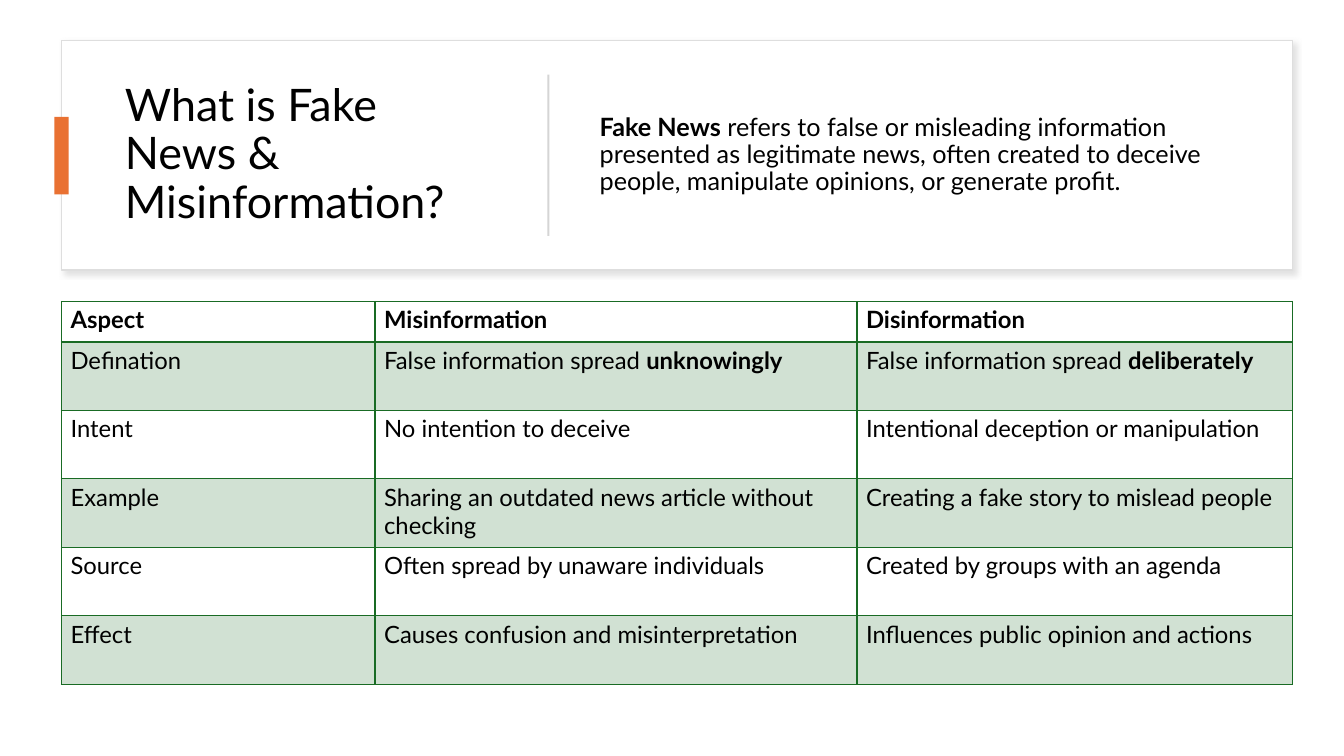
from dataclasses import dataclass

from lxml.etree import SubElement
from pptx import Presentation
from pptx.dml.color import RGBColor
from pptx.enum.shapes import MSO_SHAPE
from pptx.enum.text import MSO_ANCHOR
from pptx.oxml import parse_xml
from pptx.oxml.ns import nsdecls, qn
from pptx.shapes.autoshape import Shape
from pptx.table import _Cell
from pptx.text.text import TextFrame
from pptx.util import Emu, Pt

PX = 9144  # 100 px to the inch
FONT = "Lato"
BLACK = RGBColor(0x00, 0x00, 0x00)
WHITE = RGBColor(0xFF, 0xFF, 0xFF)
CARD_EDGE = RGBColor(0xDE, 0xDE, 0xDE)
CARD_SHADOW = RGBColor(0xC5, 0xC5, 0xC5)
DIVIDER_GREY = RGBColor(0xD5, 0xD5, 0xD5)
ORANGE = RGBColor(0xE9, 0x71, 0x32)
GREEN = RGBColor(0x19, 0x6B, 0x24)


@dataclass(frozen=True)
class Box:
    left: int
    top: int
    width: int
    height: int

    def emu(self) -> tuple[Emu, ...]:
        return tuple(px(n) for n in (self.left, self.top, self.width, self.height))


@dataclass(frozen=True)
class Panel:
    box: Box
    fill: RGBColor
    edge: RGBColor | None = None


@dataclass(frozen=True)
class Passage:
    box: Box
    text: str
    size: int


CARD = Panel(Box(61, 40, 1221, 228), WHITE, CARD_EDGE)
ACCENT = Panel(Box(54, 116, 14, 77), ORANGE)
DIVIDER = Panel(Box(543, 74, 2, 160), DIVIDER_GREY)

PASSAGES = [
    Passage(Box(114, 64, 389, 180), "What is Fake News & Misinformation?", 32),
    Passage(
        Box(585, 64, 656, 180),
        "**Fake News** refers to false or misleading information presented as "
        "legitimate news, often created to deceive people, manipulate opinions, "
        "or generate profit.",
        18,
    ),
]

TABLE_BOX = Box(61, 299, 1221, 381)
COLUMN_WIDTHS = [311, 478, 432]
HEADER_HEIGHT, ROW_HEIGHT = 40, 68
COMPARISON = [
    ("**Aspect**", "**Misinformation**", "**Disinformation**"),
    ("Defination", "False information spread **unknowingly**",
     "False information spread **deliberately**"),
    ("Intent", "No intention to deceive", "Intentional deception or manipulation"),
    ("Example", "Sharing an outdated news article without checking",
     "Creating a fake story to mislead people"),
    ("Source", "Often spread by unaware individuals", "Created by groups with an agenda"),
    ("Effect", "Causes confusion and misinterpretation",
     "Influences public opinion and actions"),
]


def px(length: int) -> Emu:
    return Emu(length * PX)


def write(frame: TextFrame, text: str, *, size: int, spacing: float = 1.0) -> None:
    """Fill a frame with text; parts between ** marks are bold."""
    frame.word_wrap = True
    paragraph = frame.paragraphs[0]
    paragraph.line_spacing = spacing
    for i, part in enumerate(text.split("**")):
        if part:
            run = paragraph.add_run()
            run.text = part
            run.font.name = FONT
            run.font.size = Pt(size)
            run.font.bold = i % 2 == 1
            run.font.color.rgb = BLACK


def draw_panel(shapes, panel: Panel) -> Shape:
    shape = shapes.add_shape(MSO_SHAPE.RECTANGLE, *panel.box.emu())
    shape.shadow.inherit = False
    shape.fill.solid()
    shape.fill.fore_color.rgb = panel.fill
    if panel.edge is None:
        shape.line.fill.background()
    else:
        shape.line.color.rgb = panel.edge
        shape.line.width = Pt(1)
    return shape


def cast_shadow(shape: Shape) -> None:
    effects = shape.element.spPr.find(qn("a:effectLst"))
    effects.append(parse_xml(
        f'<a:outerShdw {nsdecls("a")} blurRad="{Pt(4)}" dist="{Pt(3)}" dir="2700000">'
        f'<a:srgbClr val="{CARD_SHADOW}"><a:alpha val="50000"/></a:srgbClr>'
        "</a:outerShdw>"
    ))


def draw_passage(shapes, passage: Passage) -> None:
    frame = shapes.add_textbox(*passage.box.emu()).text_frame
    frame.vertical_anchor = MSO_ANCHOR.MIDDLE
    write(frame, passage.text, size=passage.size, spacing=0.9)


def style_cell(cell: _Cell, row: int) -> None:
    cell.margin_left = cell.margin_right = px(9)
    cell.margin_top = cell.margin_bottom = px(4)
    properties = cell._tc.get_or_add_tcPr()

    # Odd rows carry a light tint
    if row % 2:
        cell.fill.solid()
        cell.fill.fore_color.rgb = GREEN
        tint = properties.find(f"{qn('a:solidFill')}/{qn('a:srgbClr')}")
        SubElement(tint, qn("a:alpha"), val="20000")
    else:
        cell.fill.background()

    # Borders come before the fill; the rule under the header is heavier
    for i, side in enumerate("LRTB"):
        under_header = (row, side) in ((0, "B"), (1, "T"))
        properties.insert(i, parse_xml(
            f'<a:ln{side} {nsdecls("a")} w="{Pt(2 if under_header else 1)}">'
            f'<a:solidFill><a:srgbClr val="{GREEN}"/></a:solidFill></a:ln{side}>'
        ))


def draw_comparison(shapes) -> None:
    frame = shapes.add_table(len(COMPARISON), len(COLUMN_WIDTHS), *TABLE_BOX.emu())
    table = frame.table
    table.first_row = table.horz_banding = False
    for column, width in zip(table.columns, COLUMN_WIDTHS):
        column.width = px(width)
    for r, texts in enumerate(COMPARISON):
        table.rows[r].height = px(ROW_HEIGHT if r else HEADER_HEIGHT)
        for c, text in enumerate(texts):
            cell = table.cell(r, c)
            write(cell.text_frame, text, size=17)
            style_cell(cell, r)


def main() -> None:
    deck = Presentation()
    deck.slide_width, deck.slide_height = px(1333), px(750)
    shapes = deck.slides.add_slide(deck.slide_layouts[6]).shapes

    # Heading card
    cast_shadow(draw_panel(shapes, CARD))
    for panel in (ACCENT, DIVIDER):
        draw_panel(shapes, panel)
    for passage in PASSAGES:
        draw_passage(shapes, passage)

    # Comparison table
    draw_comparison(shapes)

    deck.save("out.pptx")


if __name__ == "__main__":
    main()
